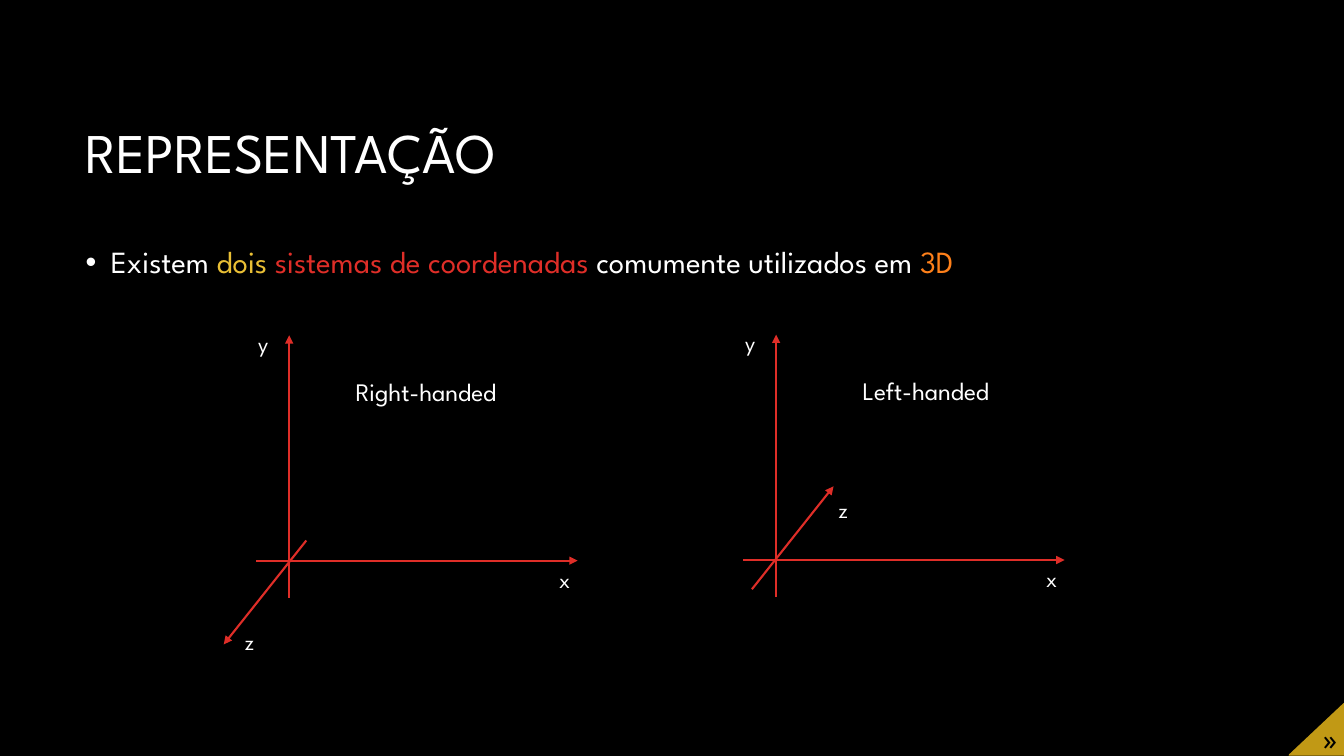
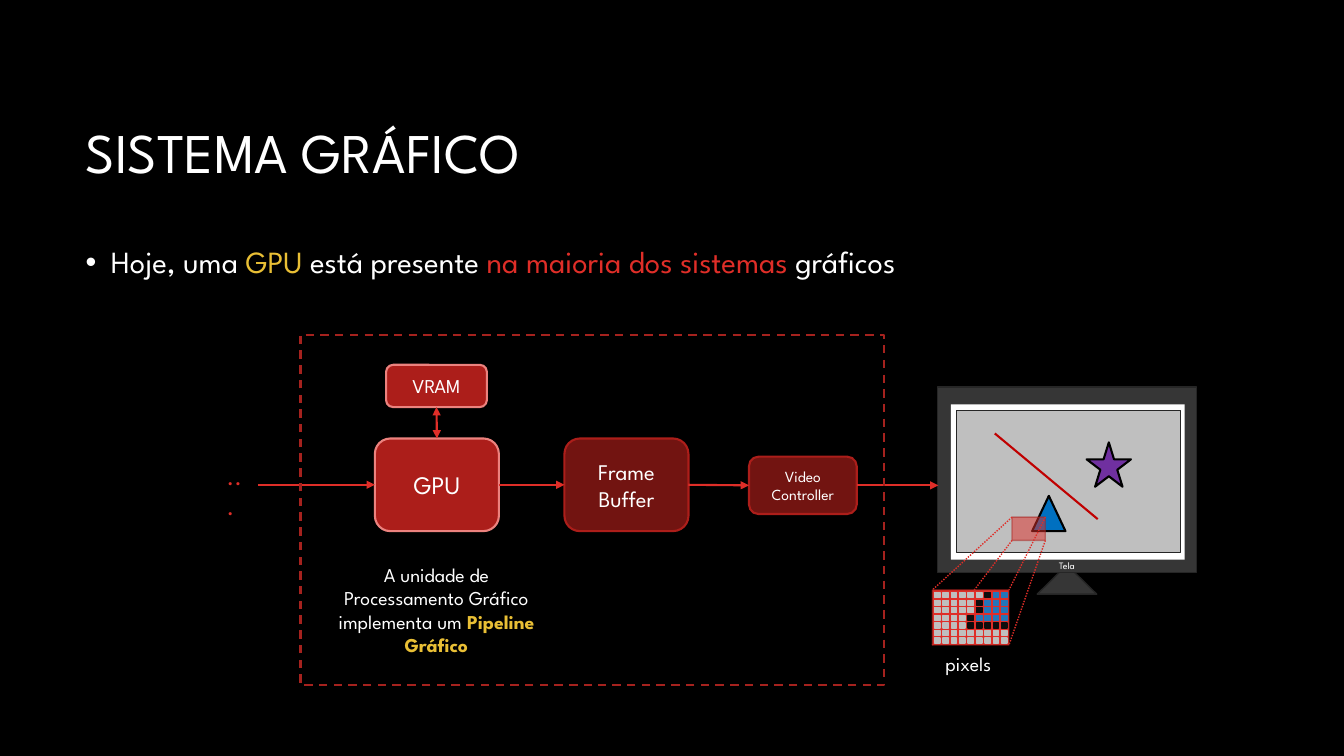
"""Build two slides: 3D coordinate systems and the parts of a graphics system."""
from dataclasses import dataclass

from lxml import etree
from pptx import Presentation
from pptx.dml.color import RGBColor
from pptx.enum.dml import MSO_LINE
from pptx.enum.shapes import MSO_CONNECTOR, MSO_SHAPE
from pptx.enum.text import MSO_ANCHOR, MSO_AUTO_SIZE, PP_ALIGN
from pptx.oxml.ns import qn
from pptx.util import Pt

RECT, ROUND = MSO_SHAPE.RECTANGLE, MSO_SHAPE.ROUNDED_RECTANGLE
TRIANGLE, STAR = MSO_SHAPE.ISOSCELES_TRIANGLE, MSO_SHAPE.STAR_5_POINT
STRAIGHT = MSO_CONNECTOR.STRAIGHT
DASH, DOT = MSO_LINE.DASH, MSO_LINE.ROUND_DOT
LEFT, CENTER = PP_ALIGN.LEFT, PP_ALIGN.CENTER
TOP, MIDDLE = MSO_ANCHOR.TOP, MSO_ANCHOR.MIDDLE
NO_FIT = MSO_AUTO_SIZE.NONE


@dataclass(frozen=True)
class Theme:
    font: str = "League Spartan"
    mono: str = "Noto Sans Mono"
    black: RGBColor = RGBColor.from_string("000000")
    white: RGBColor = RGBColor.from_string("FFFFFF")
    red: RGBColor = RGBColor.from_string("DF2E28")
    yellow: RGBColor = RGBColor.from_string("E9BF35")
    orange: RGBColor = RGBColor.from_string("FE801A")
    gold: RGBColor = RGBColor.from_string("C19915")
    pink: RGBColor = RGBColor.from_string("EC827E")
    crimson: RGBColor = RGBColor.from_string("AC1E1A")
    maroon: RGBColor = RGBColor.from_string("721411")
    edge: RGBColor = RGBColor.from_string("A5221E")
    casing: RGBColor = RGBColor.from_string("363636")
    outline: RGBColor = RGBColor.from_string("262626")
    gray: RGBColor = RGBColor.from_string("BFBFBF")
    ink: RGBColor = RGBColor.from_string("0D0D0D")
    pixel_blue: RGBColor = RGBColor.from_string("2476B9")
    blue: RGBColor = RGBColor.from_string("0070C0")
    purple: RGBColor = RGBColor.from_string("7030A0")
    scarlet: RGBColor = RGBColor.from_string("C00000")
    title: int = 40
    body: int = 22
    mark: int = 20
    large: int = 18
    medium: int = 16
    small: int = 14
    tiny: int = 11
    micro: int = 7


T = Theme()


def add_box(s, kind, at, fill=None, line=None, weight=1.0, text="", size=T.medium,
            color=T.white, align=CENTER, font=T.font):
    at = [Pt(v) for v in at]
    if kind is None:
        sp = s.shapes.add_textbox(*at)
    else:
        sp = s.shapes.add_shape(kind, *at)
        sp.shadow.inherit = False
        if fill is None:
            sp.fill.background()
        else:
            sp.fill.solid()
            sp.fill.fore_color.rgb = fill
        if line is None:
            sp.line.fill.background()
        else:
            sp.line.color.rgb = line
            sp.line.width = Pt(weight)
    if text:
        tf = sp.text_frame
        tf.word_wrap = True
        tf.vertical_anchor = TOP if kind is None else MIDDLE
        tf.text = text
        for p in tf.paragraphs:
            p.alignment = align
            p.font.name, p.font.size, p.font.color.rgb = font, Pt(size), color
    return sp


def add_line(s, start, end, color=T.red, weight=1.5, dash=None, arrows=()):
    cn = s.shapes.add_connector(STRAIGHT, *[Pt(v) for v in (*start, *end)])
    cn.line.color.rgb = color
    cn.line.width = Pt(weight)
    if dash is not None:
        cn.line.dash_style = dash
    sp_pr = cn._element.spPr
    for arrow in arrows:
        etree.SubElement(sp_pr.find(qn("a:ln")), qn(f"a:{arrow}"), type="triangle")
    etree.SubElement(sp_pr, qn("a:effectLst"))
    return cn


prs = Presentation()
prs.slide_width, prs.slide_height = Pt(960), Pt(540)
bg = prs.slide_master.background.fill
bg.solid()
bg.fore_color.rgb = T.black

contents = [
    ("REPRESENTAÇÃO", [
        ("Existem ", T.white), ("dois ", T.yellow), ("sistemas de coordenadas", T.red),
        (" comumente utilizados em ", T.white), ("3D", T.orange)]),
    ("SISTEMA GRÁFICO", [
        ("Hoje, uma ", T.white), ("GPU", T.yellow), (" está presente ", T.white),
        ("na maioria dos sistemas", T.red), (" gráficos", T.white)]),
]
slides = []
for heading, runs in contents:
    s = prs.slides.add_slide(prs.slide_layouts[1])
    slides.append(s)
    title, body = s.shapes.title, s.placeholders[1]
    title.text_frame.text = heading
    for text, color in runs:
        r = body.text_frame.paragraphs[0].add_run()
        r.text = text
        r.font.color.rgb = color
    for sp, top, height, size, anchor in ((title, 60.5, 101.5, T.title, MIDDLE),
                                          (body, 172.8, 316.8, T.body, TOP)):
        sp.left, sp.top, sp.width, sp.height = Pt(54), Pt(top), Pt(852), Pt(height)
        tf = sp.text_frame
        tf.word_wrap, tf.auto_size, tf.vertical_anchor = True, NO_FIT, anchor
        p = tf.paragraphs[0]
        p.alignment, p.line_spacing = LEFT, 0.9
        p.font.name, p.font.size, p.font.color.rgb = T.font, Pt(size), T.white
    p.space_before = Pt(10)
    p_pr = p._p.get_or_add_pPr()
    p_pr.set("marL", str(Pt(18)))
    p_pr.set("indent", str(Pt(-18)))

axes_slide, system_slide = slides

s = axes_slide
systems = [
    (206.6, 400.5, "Right-handed", 40.3, 136, (12.2, -14.4), (-46.8, 59.8), (-39.6, 45)),
    (554.4, 400, "Left-handed", 54.7, 124.6, (-17.3, 20.9), (41, -52.6), (36.7, -49.5)),
]
for x, y, name, name_dx, name_width, z_from, z_to, z_label in systems:
    for (x1, y1), (x2, y2) in (((0, 26.6), (0, -161)), ((-23.4, 0), (206, 0)), (z_from, z_to)):
        add_line(s, (x + x1, y + y1), (x + x2, y + y2), arrows=["tailEnd"])
    for label, (dx, dy) in (("x", (185.6, 0)), ("y", (-29.8, -168.5)), ("z", z_label)):
        add_box(s, None, (x + dx, y + dy, 22.5, 26.6), text=label)
    add_box(s, None, (x + name_dx, y - 135.4, name_width, 28.8),
            text=name, size=T.large, align=LEFT)

builder = s.shapes.build_freeform(Pt(921), Pt(539.3))
builder.add_line_segments([(Pt(960), Pt(502.6)), (Pt(960), Pt(539.3))])
corner = builder.convert_to_shape()
corner.shadow.inherit = False
corner.fill.solid()
corner.fill.fore_color.rgb = corner.line.color.rgb = T.gold
corner.line.width = Pt(1)
mark = add_box(s, None, (935.3, 515.5, 24.5, 24.5), text="»", size=T.mark,
               color=T.black, font=T.mono)
tf = mark.text_frame
tf.margin_left = tf.margin_top = tf.margin_right = tf.margin_bottom = 0
tf.vertical_anchor = MIDDLE
tf.paragraphs[0]._p.get_or_add_pPr().set("marL", str(Pt(5)))

s = system_slide
add_box(s, None, (154.8, 325.4, 29.5, 28.8), text="...", size=T.large, color=T.red, align=LEFT)
gpu, frame_buffer, vram, video = [
    add_box(s, ROUND, at, fill, line, 1.5, text, size)
    for at, fill, line, text, size in (
        ((267.8, 313.2, 88.6, 66.2), T.crimson, T.pink, "GPU", T.large),
        ((403.2, 313.2, 88.6, 66.2), T.maroon, T.crimson, "Frame Buffer", T.medium),
        ((275.8, 260.6, 72, 30.2), T.crimson, T.pink, "VRAM", T.small),
        ((535, 326.2, 77, 41), T.maroon, T.crimson, "Video\nController", T.tiny))]
for a, a_side, b, b_side, arrows in (
        (vram, 2, gpu, 0, ["headEnd", "tailEnd"]),
        (gpu, 3, frame_buffer, 1, ["tailEnd"]),
        (frame_buffer, 3, video, 1, ["tailEnd"])):
    cn = add_line(s, (0, 0), (0, 0), arrows=arrows)
    cn.begin_connect(a, a_side)
    cn.end_connect(b, b_side)
add_line(s, (184.3, 346.3), (267.8, 346.3), arrows=["tailEnd"]).end_connect(gpu, 1)

for kind, at, fill, line, weight in (
        (TRIANGLE, (740.9, 403.5, 42.5, 20.9), T.casing, T.outline, 1),
        (RECT, (669.6, 276.5, 185, 132.5), T.casing, T.outline, 1),
        (RECT, (679.2, 288.9, 167, 110.9), T.white, None, 0),
        (RECT, (683.3, 293.2, 160, 101.5), T.gray, T.outline, 1),
        (TRIANGLE, (737.3, 354.2, 23.8, 25.2), T.blue, T.black, 1.5),
        (STAR, (776.2, 316, 31.7, 31.7), T.purple, T.black, 1.5)):
    add_box(s, kind, at, fill, line, weight)
add_line(s, (710.6, 309.6), (784.1, 370.8), T.scarlet)
add_box(s, None, (748, 396, 28.1, 15.8), text="Tela", size=T.micro)
add_line(s, (612, 346.7), (670.3, 346.7), arrows=["tailEnd"]).begin_connect(video, 3)

lens_at, sheet_at = (722.9, 369.4, 23.8, 16.6), (666, 421.4, 54.7, 39.4)
lens = add_box(s, RECT, lens_at, T.red, T.edge)
for fx, fy in ((0, 0), (1, 0), (1, 1), (0, 1)):
    start, end = [(x + fx * w, y + fy * h) for x, y, w, h in (lens_at, sheet_at)]
    add_line(s, start, end, weight=1, dash=DOT)
sheet = add_box(s, RECT, sheet_at, T.red, T.edge)
for part in (lens._element.spPr, sheet._element.spPr.find(qn("a:ln"))):
    for clr in part.iter(qn("a:srgbClr")):
        etree.SubElement(clr, qn("a:alpha"), val="50000")

pixel_colors = {"g": T.gray, "k": T.ink, "b": T.pixel_blue}
pixel_rows = ["ggggggkbb", "gggggkbbb", "gggggkbbb", "ggggkbbbb", "ggggkkkkk",
              "ggggggggg", "ggggggggg"]
for row, codes in enumerate(pixel_rows):
    for col, code in enumerate(codes):
        color = pixel_colors[code]
        add_box(s, RECT, (667.6 + col * 6, 423.3 + row * 5.42, 3.8, 3.6), color, color)
add_box(s, None, (668.2, 462.2, 51.1, 24.5), text="pixels", size=T.small, align=LEFT)

caption = add_box(s, None, (232.6, 398.2, 158.4, 74.9), size=T.small,
                  text="A unidade de Processamento Gráfico implementa um ")
r = caption.text_frame.paragraphs[0].add_run()
r.text = "Pipeline Gráfico"
r.font.bold, r.font.color.rgb = True, T.yellow

board = add_box(s, RECT, (214.6, 239, 416.9, 250.6), line=T.edge, weight=1.5)
board.line.dash_style = DASH

prs.save("out.pptx")
